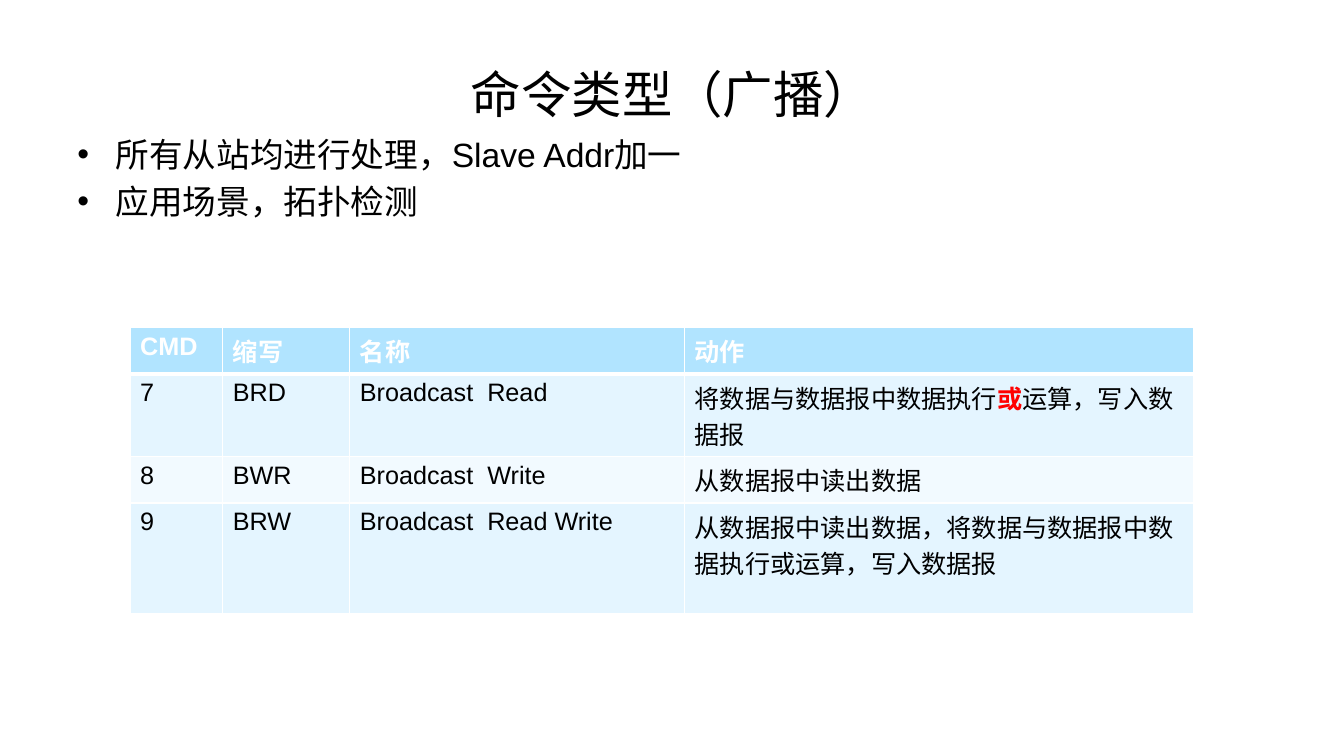
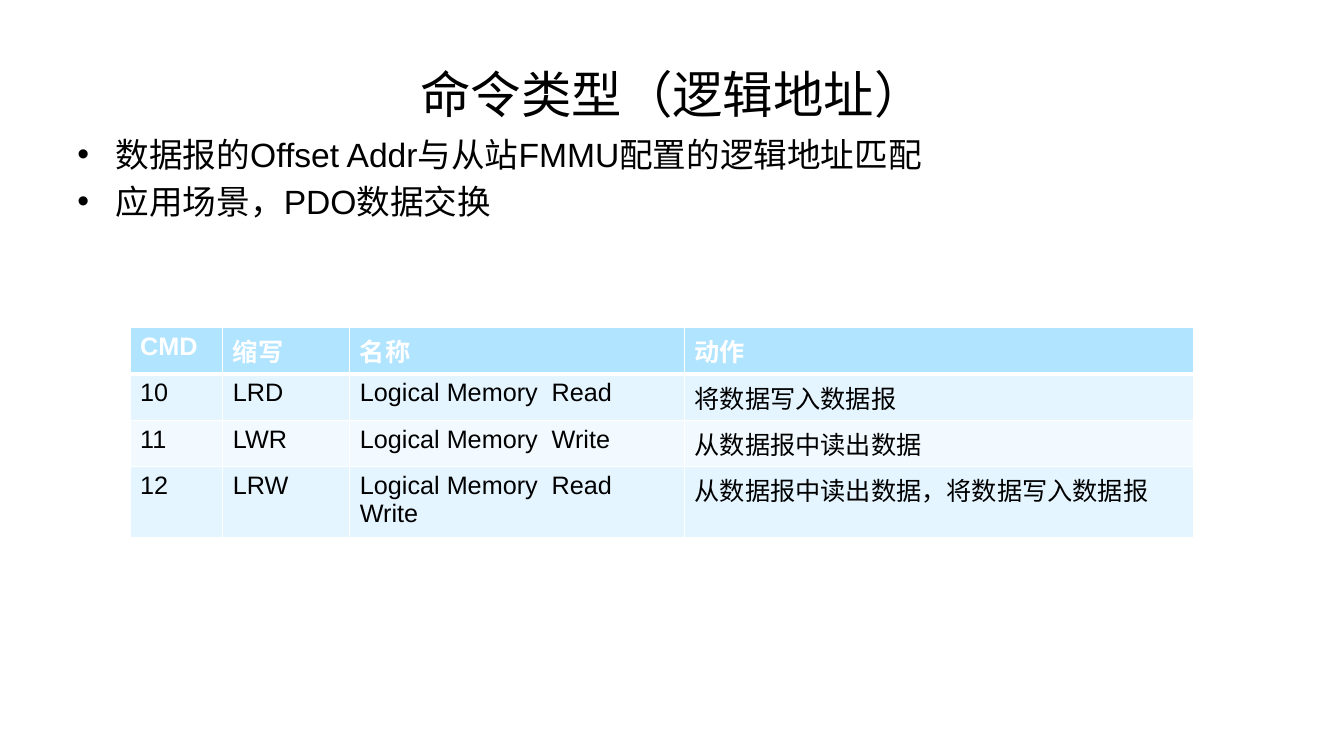
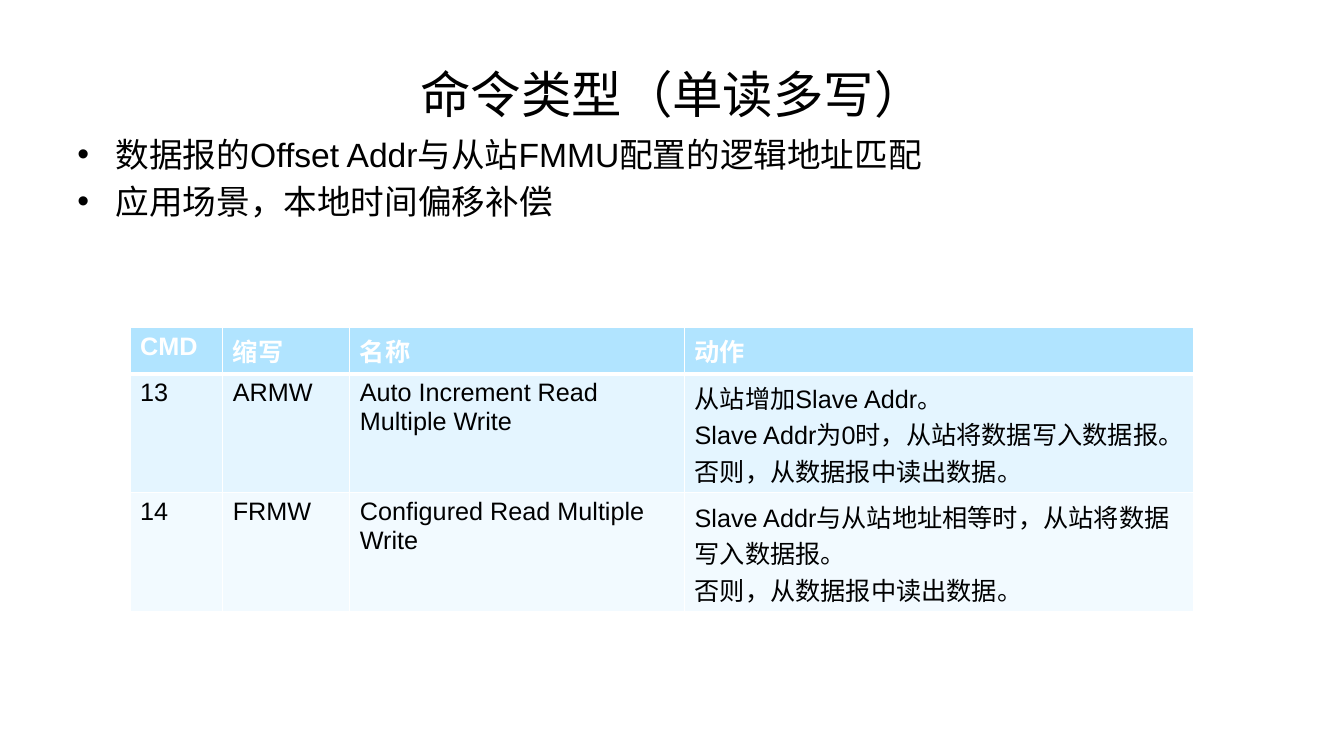
from dataclasses import dataclass

from lxml.etree import SubElement
from pptx import Presentation
from pptx.dml.color import RGBColor
from pptx.enum.lang import MSO_LANGUAGE_ID as Language
from pptx.enum.text import MSO_ANCHOR as Anchor, PP_ALIGN as Align
from pptx.oxml.ns import qn
from pptx.util import Inches, Pt

FONT = "Arial"
BLACK, WHITE, RED = "000000", "FFFFFF", "FF0000"
HEADER_FILL = "B1E4FF"
BAND_FILLS = ("E4F5FF", "F2FAFF")
HEADERS = ("CMD", "缩写", "名称", "动作")
COLUMN_WIDTHS = (0.92, 1.26, 3.32, 5.05)
ONE_LINE, TWO_LINES, THREE_LINES = 0.46, 0.82, 1.18
THIN, THICK = 1, 3
EMPHASIS = "**"


@dataclass(frozen=True)
class Command:
    number: str
    short_name: str
    full_name: str
    action: str
    height: float = ONE_LINE


@dataclass(frozen=True)
class CommandSlide:
    title: str
    points: str
    commands: tuple[Command, ...]


COMMAND_SLIDES = (
    CommandSlide(
        "命令类型（广播）",
        "所有从站均进行处理，Slave Addr加一\n应用场景，拓扑检测",
        (
            Command("7", "BRD", "Broadcast  Read",
                    "将数据与数据报中数据执行**或**运算，写入数据报", TWO_LINES),
            Command("8", "BWR", "Broadcast  Write", "从数据报中读出数据"),
            Command("9", "BRW", "Broadcast  Read Write",
                    "从数据报中读出数据，将数据与数据报中数据执行或运算，写入数据报", 1.1),
        ),
    ),
    CommandSlide(
        "命令类型（逻辑地址）",
        "数据报的Offset Addr与从站FMMU配置的逻辑地址匹配\n应用场景，PDO数据交换",
        (
            Command("10", "LRD", "Logical Memory  Read", "将数据写入数据报"),
            Command("11", "LWR", "Logical Memory  Write", "从数据报中读出数据"),
            Command("12", "LRW", "Logical Memory  Read Write",
                    "从数据报中读出数据，将数据写入数据报", 0.7),
        ),
    ),
    CommandSlide(
        "命令类型（单读多写）",
        "数据报的Offset Addr与从站FMMU配置的逻辑地址匹配\n应用场景，本地时间偏移补偿",
        (
            Command("13", "ARMW", "Auto Increment Read Multiple Write",
                    "从站增加Slave Addr。\nSlave Addr为0时，从站将数据写入数据报。\n"
                    "否则，从数据报中读出数据。", THREE_LINES),
            Command("14", "FRMW", "Configured Read Multiple Write",
                    "Slave Addr与从站地址相等时，从站将数据写入数据报。\n"
                    "否则，从数据报中读出数据。", THREE_LINES),
        ),
    ),
)


def rgb(value: str) -> RGBColor:
    return RGBColor.from_string(value)


def add_bullet(paragraph) -> None:
    properties = paragraph._p.get_or_add_pPr()
    properties.set("marL", str(Inches(0.38)))
    properties.set("indent", str(Inches(-0.38)))
    SubElement(properties, qn("a:buFont")).set("typeface", FONT)
    SubElement(properties, qn("a:buChar")).set("char", "•")


def write(frame, text: str, *, size: float, color: str = BLACK, bold: bool = False,
          align: Align = Align.LEFT, bullet: bool = False,
          space_before: float = 0) -> None:
    """Write one paragraph per line; text between ** marks is bold and red."""
    for index, line in enumerate(text.split("\n")):
        paragraph = frame.add_paragraph() if index else frame.paragraphs[0]
        if bullet:
            add_bullet(paragraph)
        paragraph.alignment = align
        if index and space_before:
            paragraph.space_before = Pt(space_before)
        for part, content in enumerate(line.split(EMPHASIS)):
            emphasized = part % 2 == 1
            run = paragraph.add_run()
            run.text = content
            run.font.name = FONT
            run.font.size = Pt(size)
            run.font.bold = bold or emphasized
            run.font.color.rgb = rgb(RED if emphasized else color)
            run.font.language_id = Language.SIMPLIFIED_CHINESE


def add_text(slide, text: str, top: float, height: float, *,
             anchor: Anchor = Anchor.TOP, **text_format) -> None:
    frame = slide.shapes.add_textbox(
        Inches(0.67), Inches(top), Inches(12), Inches(height)).text_frame
    frame.word_wrap = True
    frame.vertical_anchor = anchor
    write(frame, text, **text_format)


def set_borders(cell, top: float, bottom: float) -> None:
    properties = cell._tc.get_or_add_tcPr()
    for side, width in (("L", THIN), ("R", THIN), ("T", top), ("B", bottom)):
        line = SubElement(properties, qn(f"a:ln{side}"), w=str(Pt(width)))
        fill = SubElement(line, qn("a:solidFill"))
        SubElement(fill, qn("a:srgbClr"), val=WHITE)


def add_command_table(slide, commands: tuple[Command, ...]) -> None:
    rows = [HEADERS] + [(c.number, c.short_name, c.full_name, c.action) for c in commands]
    heights = [ONE_LINE] + [c.height for c in commands]
    table = slide.shapes.add_table(
        len(rows), len(HEADERS), Inches(1.29), Inches(3.25),
        Inches(sum(COLUMN_WIDTHS)), Inches(sum(heights))).table
    for column, width in zip(table.columns, COLUMN_WIDTHS):
        column.width = Inches(width)
    for index, (values, height) in enumerate(zip(rows, heights)):
        table.rows[index].height = Inches(height)
        is_header = index == 0
        for column, value in enumerate(values):
            cell = table.cell(index, column)
            set_borders(cell, top=THICK if index == 1 else THIN,
                        bottom=THICK if is_header else THIN)
            cell.fill.solid()
            cell.fill.fore_color.rgb = rgb(
                HEADER_FILL if is_header else BAND_FILLS[(index - 1) % 2])
            write(cell.text_frame, value, size=18, bold=is_header,
                  color=WHITE if is_header else BLACK)


def main() -> None:
    deck = Presentation()
    deck.slide_width, deck.slide_height = Inches(13.33), Inches(7.5)
    blank_layout = deck.slide_layouts[6]
    for content in COMMAND_SLIDES:
        slide = deck.slides.add_slide(blank_layout)
        add_text(slide, content.title, 0.3, 1.25, anchor=Anchor.MIDDLE,
                 size=36, align=Align.CENTER)
        add_text(slide, content.points, 1.28, 1.33, size=24, bullet=True,
                 space_before=4.8)
        add_command_table(slide, content.commands)
    deck.save("out.pptx")


if __name__ == "__main__":
    main()
